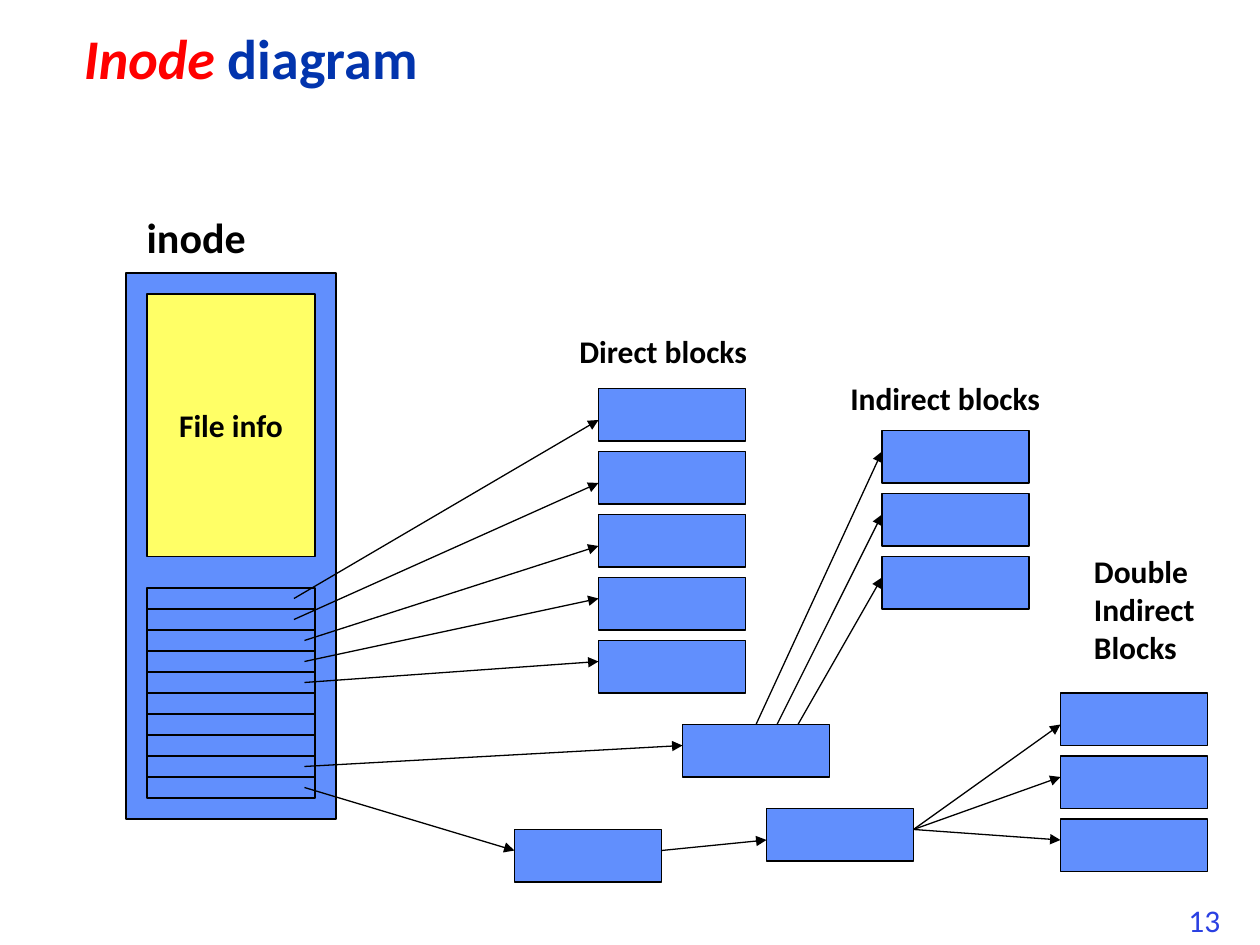
from pptx import Presentation, util as u
from pptx.dml.color import RGBColor
from pptx.enum import shapes, text
from pptx.oxml.ns import qn
from lxml import etree

# Content: grid cells are 1/12 inch (120 columns by 90 rows)
COLS, ROWS = 120, 90
BLUE, YELLOW, BLACK = "618FFD", "FFFF66", "000000"
BLOCK_W, BLOCK_H, BLOCK_STEP = 14, 5, 6

TITLE = [("Inode ", "FF0000", True), ("diagram", "0234AD", False)]
# lines, left, top, width, height, size
LABELS = [
    (["inode"], 12.8, 19.6, 12.2, 6, 24),
    (["Direct blocks"], 54, 31, 18.5, 4.8, 18),
    (["Indirect blocks"], 79.8, 35.5, 20.6, 4.8, 18),
    (["Double", "Indirect", "Blocks"], 103, 52, 13.1, 12, 18),
]
# name: left, top, number of blocks
STACKS = {
    "direct": (57, 37, 5),
    "single pointer": (65, 69, 1),
    "second pointer": (73, 77, 1),
    "indirect": (84, 41, 3),
    "double indirect": (101, 66, 3),
    "first pointer": (49, 79, 1),
}
SLOT_LEFT, SLOT_TOP, SLOT_W, SLOT_H, SLOTS = 14, 56, 16, 2, 10
# slot, start column, end point
SLOT_ARROWS = [
    (0, 28, (57, 40)), (1, 28, (57, 46)), (2, 29, (57, 52)),
    (3, 29, (57, 57)), (4, 29, (57, 63)), (8, 29, (65, 71)),
    (9, 29, (49, 81)),
]
BLOCK_ARROWS = [
    ((74, 69), (84, 49)), ((76, 69), (84, 55)),
    ((87, 79), (101, 69)), ((87, 79), (101, 74)), ((87, 79), (101, 80)),
    ((63, 81), (73, 80)),
]

prs = Presentation()
prs.slide_width, prs.slide_height = u.Inches(10), u.Inches(7.5)
s = prs.slides.add_slide(prs.slide_layouts[5])


def rgb(value):
    return RGBColor.from_string(value)


def cells(*values):
    return [int(v * prs.slide_width / COLS) for v in values]


def add_run(p, words, size, color=BLACK, **extra):
    r = p.add_run()
    r.text = words
    r.font.color.rgb = rgb(color)
    fmt = {"name": "Calibri", "size": u.Pt(size), "bold": True, **extra}
    for key, value in fmt.items():
        setattr(r.font, key, value)


def box(left, top, width, height, fill=BLUE):
    sp = s.shapes.add_shape(shapes.MSO_SHAPE.RECTANGLE,
                            *cells(left, top, width, height))
    sp.shadow.inherit = False
    sp.fill.solid()
    sp.fill.fore_color.rgb = rgb(fill)
    sp.line.color.rgb = rgb(BLACK)
    sp.line.width = u.Pt(0.75)
    return sp


def label(lines, left, top, width, height, size, **extra):
    tf = s.shapes.add_textbox(*cells(left, top, width, height)).text_frame
    tf.word_wrap = False
    tf.auto_size = text.MSO_AUTO_SIZE.SHAPE_TO_FIT_TEXT
    for i, line in enumerate(lines):
        p = tf.add_paragraph() if i else tf.paragraphs[0]
        add_run(p, line, size, **extra)


def arrow(start, end):
    cx = s.shapes.add_connector(shapes.MSO_CONNECTOR.STRAIGHT,
                                *cells(*start, *end))
    cx.line.color.rgb = rgb(BLACK)
    cx.line.width = u.Pt(0.75)
    etree.SubElement(cx.line._get_or_add_ln(), qn("a:tailEnd"), type="triangle")
    etree.SubElement(cx._element.spPr, qn("a:effectLst"))
    return cx


# Title
title = s.shapes.title
title.left, title.top, title.width, title.height = cells(6.8, 2.3, 94, 7)
tf = title.text_frame
tf.auto_size = text.MSO_AUTO_SIZE.NONE
tf.vertical_anchor = text.MSO_ANCHOR.MIDDLE
p = tf.paragraphs[0]
p.alignment = text.PP_ALIGN.LEFT
p.line_spacing = 0.9
for words, color, italic in TITLE:
    add_run(p, words, 32, color, italic=italic)

# Inode with file info and pointer slots
box(12, 26, 20, 52)
tf = box(SLOT_LEFT, 28, SLOT_W, 25, YELLOW).text_frame
tf.word_wrap = False
tf.vertical_anchor = text.MSO_ANCHOR.MIDDLE
tf.paragraphs[0].alignment = text.PP_ALIGN.CENTER
add_run(tf.paragraphs[0], "File info", 18)
for i in range(SLOTS):
    box(SLOT_LEFT, SLOT_TOP + i * SLOT_H, SLOT_W, SLOT_H)

# Block stacks
blocks = {name: [box(left, top + i * BLOCK_STEP, BLOCK_W, BLOCK_H)
                 for i in range(count)]
          for name, (left, top, count) in STACKS.items()}

# Labels and slide number
for item in LABELS:
    label(*item)
label(["13"], 112, ROWS - 4.8, 6.1, 4.8, 18, color="2A40E2", bold=False)

# Arrows
for slot, column, end in SLOT_ARROWS:
    arrow((column, SLOT_TOP + (slot + 0.5) * SLOT_H), end)
arrow((72, 69), (84, 43)).begin_connect(blocks["single pointer"][0], 0)
for start, end in BLOCK_ARROWS:
    arrow(start, end)

prs.save("out.pptx")
